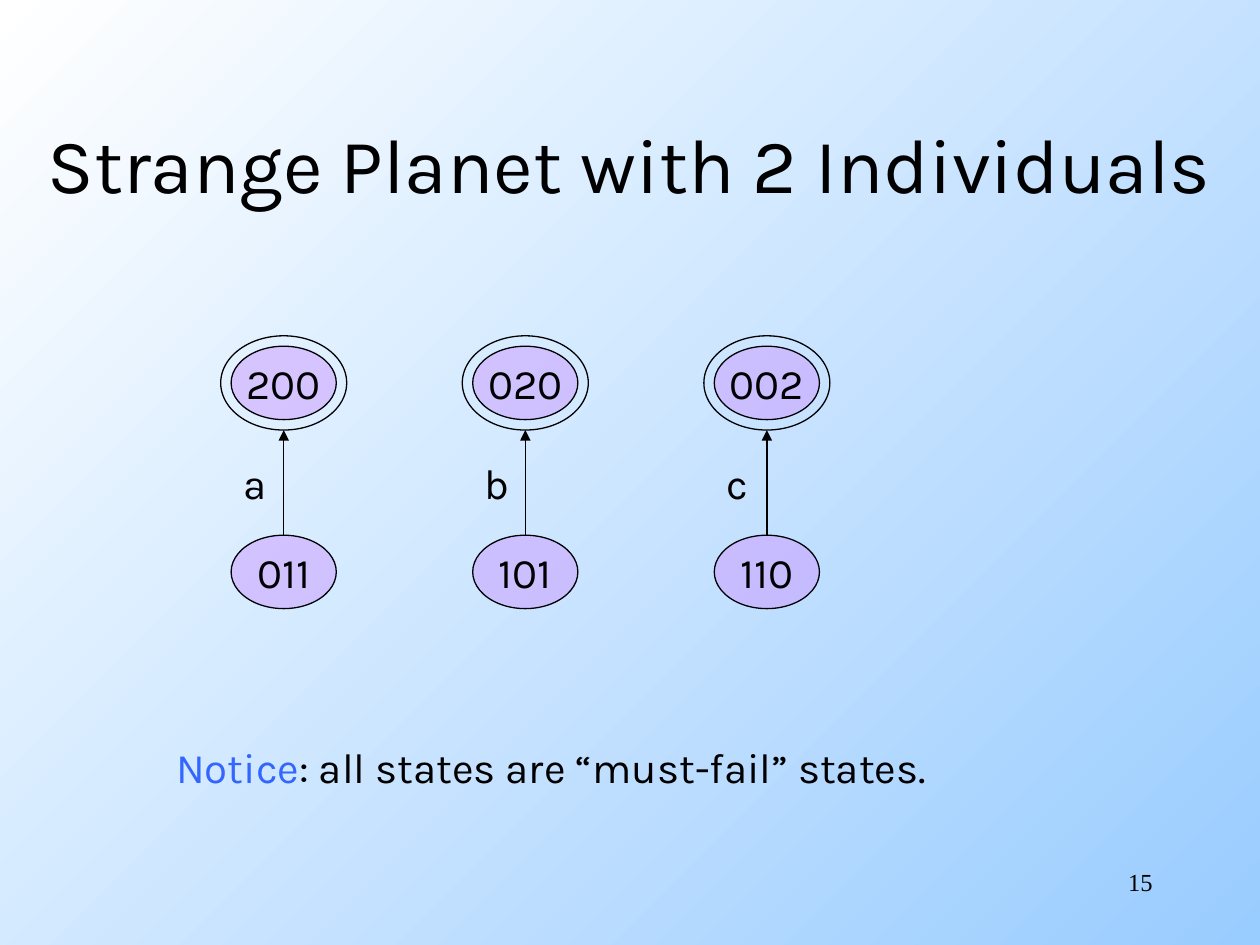
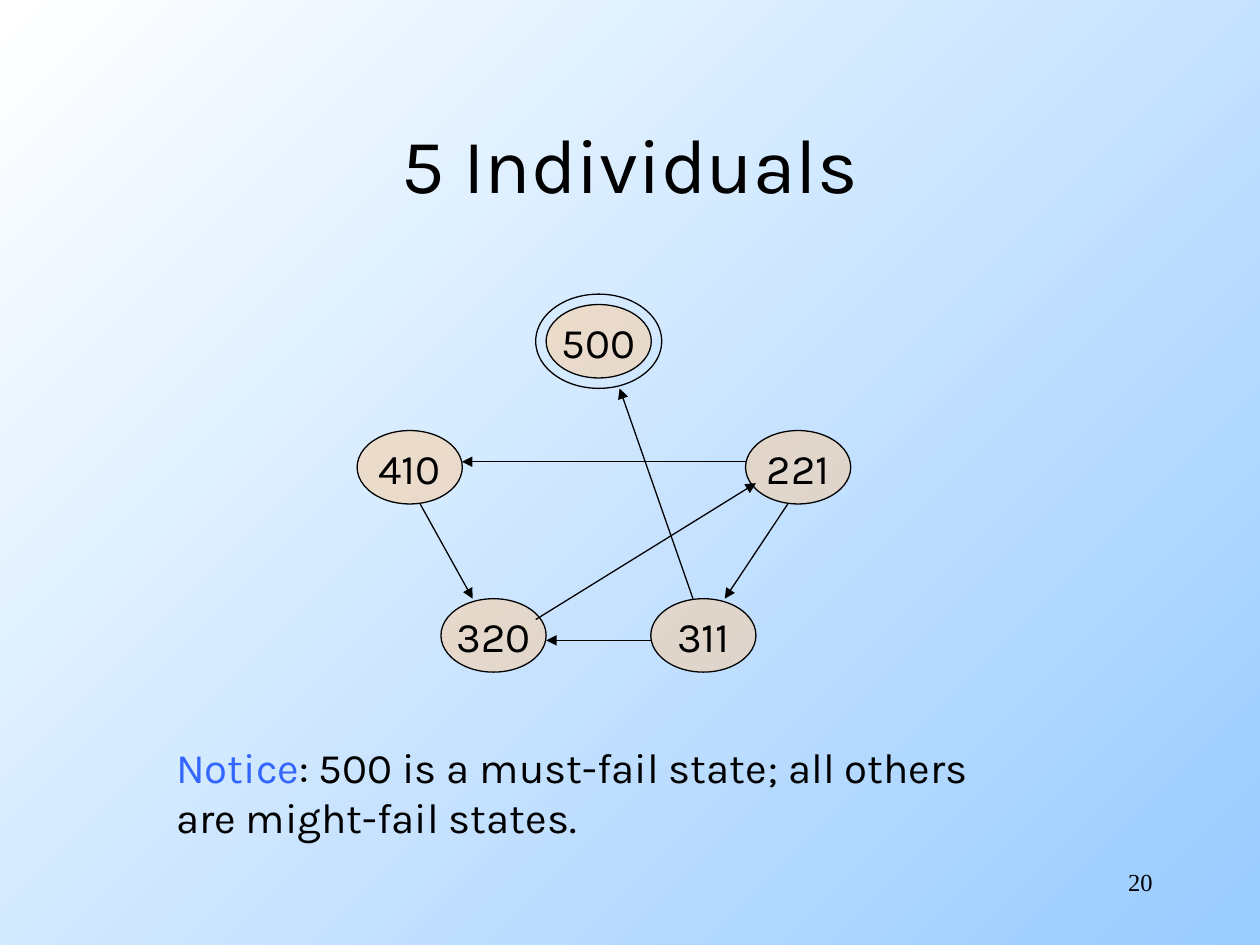
from lxml.etree import SubElement
from pptx import Presentation
from pptx.dml.color import RGBColor
from pptx.enum.shapes import MSO_CONNECTOR, MSO_SHAPE
from pptx.enum.text import MSO_ANCHOR, MSO_AUTO_SIZE, PP_ALIGN
from pptx.oxml.ns import qn
from pptx.util import Cm, Pt

COLORS = {
    "ink": "000000",
    "notice": "3366FF",
    "purple": "CC99FF",
    "orange": "FFCC99",
    "light": "FFFFFF",
    "sky": "99CCFF",
}
FONT = "Karla"

# All lengths below are in centimetres
WIDTH, HEIGHT = 25.4, 19.05
NODE = (2.12, 1.48)
RING = (2.54, 1.9)


def color(name):
    return RGBColor.from_string(COLORS[name])


def write(frame, *lines, lead="", size=24, font=FONT, align=PP_ALIGN.LEFT,
          anchor=MSO_ANCHOR.TOP, wrap=False, fit=MSO_AUTO_SIZE.NONE):
    """Write one paragraph per line; lead is a blue opening of the first."""
    frame.word_wrap = wrap
    frame.auto_size = fit
    frame.vertical_anchor = anchor
    for i, line in enumerate(lines):
        para = frame.paragraphs[0] if i == 0 else frame.add_paragraph()
        para.alignment = align
        parts = [(line, "ink")]
        if lead and i == 0:
            parts.insert(0, (lead, "notice"))
        for text, tone in parts:
            run = para.add_run()
            run.text = text
            run.font.size = Pt(size)
            run.font.name = font
            run.font.color.rgb = color(tone)


def add_box(slide, left, top, width, height, *lines, **style):
    box = slide.shapes.add_textbox(Cm(left), Cm(top), Cm(width), Cm(height))
    write(box.text_frame, *lines, **style)


def outline(shape):
    shape.line.color.rgb = color("ink")
    shape.line.width = Pt(0.75)


def add_oval(shapes, x, y, size):
    """Place an ellipse of the given size around its centre."""
    width, height = size
    oval = shapes.add_shape(MSO_SHAPE.OVAL, Cm(x - width / 2),
                            Cm(y - height / 2), Cm(width), Cm(height))
    oval.shadow.inherit = False
    outline(oval)
    return oval


def add_state(slide, x, y, name, tone, final=False):
    """Draw a half-transparent state; a final one has a ring around it."""
    shapes = slide.shapes
    if final:
        shapes = shapes.add_group_shape().shapes
    node = add_oval(shapes, x, y, NODE)
    node.fill.solid()
    node.fill.fore_color.rgb = color(tone)
    tint = node.element.spPr.find(qn("a:solidFill")).find(qn("a:srgbClr"))
    SubElement(tint, qn("a:alpha"), val="50000")
    write(node.text_frame, name, align=PP_ALIGN.CENTER,
          anchor=MSO_ANCHOR.MIDDLE)
    if final:
        add_oval(shapes, x, y, RING).fill.background()


def add_arrow(slide, x1, y1, x2, y2):
    arrow = slide.shapes.add_connector(MSO_CONNECTOR.STRAIGHT, Cm(x1), Cm(y1),
                                       Cm(x2), Cm(y2))
    outline(arrow)
    props = arrow.element.spPr
    SubElement(props.find(qn("a:ln")), qn("a:tailEnd"), type="triangle")
    SubElement(props, qn("a:effectLst"))


def set_back(master):
    fill = master.background.fill
    fill.gradient()
    fill.gradient_angle = 315
    for stop, tone in zip(fill.gradient_stops, ("light", "sky")):
        stop.color.rgb = color(tone)


def add_slide(prs, title, number, margin, notice, span):
    """Start a slide with its title, page number and notice."""
    slide = prs.slides.add_slide(prs.slide_layouts[5])
    head = slide.shapes.title
    head.left, head.top = Cm(margin), Cm(1.69)
    head.width, head.height = Cm(WIDTH - 2 * margin), Cm(3.18)
    write(head.text_frame, title, size=44, align=PP_ALIGN.CENTER,
          anchor=MSO_ANCHOR.MIDDLE, wrap=True)
    add_box(slide, 18.2, 17.36, 5.29, 1.27, number, size=14,
            font="Times New Roman", align=PP_ALIGN.RIGHT, wrap=True)
    add_box(slide, 3.3, 14.82, *span, *notice, lead="Notice",
            fit=MSO_AUTO_SIZE.SHAPE_TO_FIT_TEXT)
    return slide


def draw_pairs(slide, left, top):
    """Three columns, each with an arrow from a state up to a final one."""
    columns = [("200", "011", "a", 0.97), ("020", "101", "b", 1.02),
               ("002", "110", "c", 0.91)]
    upper = top + RING[1] / 2
    lower = upper + 3.81
    for i, (goal, start, label, width) in enumerate(columns):
        x = left + RING[0] / 2 + i * 4.87
        add_state(slide, x, upper, goal, "purple", final=True)
        add_state(slide, x, lower, start, "purple")
        add_arrow(slide, x, lower - NODE[1] / 2, x, upper + RING[1] / 2)
        add_box(slide, x - 1.07, top + 2.33, width, 1.27, label,
                fit=MSO_AUTO_SIZE.SHAPE_TO_FIT_TEXT)


def draw_graph(slide, left, top):
    """Five states on a pentagon, joined by arrows."""
    states = {"410": (1.06, 3.49), "500": (4.87, 0.95), "320": (2.75, 6.88),
              "311": (6.98, 6.88), "221": (8.89, 3.49)}
    for name, (x, y) in states.items():
        add_state(slide, left + x, top + y, name, "orange", name == "500")

    arrows = [
        (6.77, 6.14, 5.29, 1.9),   # 311 to 500
        (1.27, 4.23, 2.33, 6.14),  # 410 to 320
        (3.6, 6.56, 8.04, 3.81),   # 320 to 221
        (5.92, 6.98, 3.81, 6.98),  # 311 to 320
        (8.68, 4.23, 7.41, 6.14),  # 221 to 311
        (7.83, 3.38, 2.11, 3.38),  # 221 to 410
    ]
    for x1, y1, x2, y2 in arrows:
        add_arrow(slide, left + x1, top + y1, left + x2, top + y2)


def main():
    prs = Presentation()
    prs.slide_width, prs.slide_height = Cm(WIDTH), Cm(HEIGHT)
    set_back(prs.slide_master)

    # Two individuals
    slide = add_slide(prs, "Strange Planet with 2 Individuals", "15", 0,
                      [": all states are “must-fail” states."], (15.7, 1.27))
    draw_pairs(slide, 4.45, 6.77)

    # Five individuals
    slide = add_slide(prs, "5 Individuals", "20", 1.91,
                      [": 500 is a must-fail state; all others",
                       "are might-fail states."], (16.56, 2.29))
    draw_graph(slide, 7.2, 5.93)

    prs.save("out.pptx")


if __name__ == "__main__":
    main()
